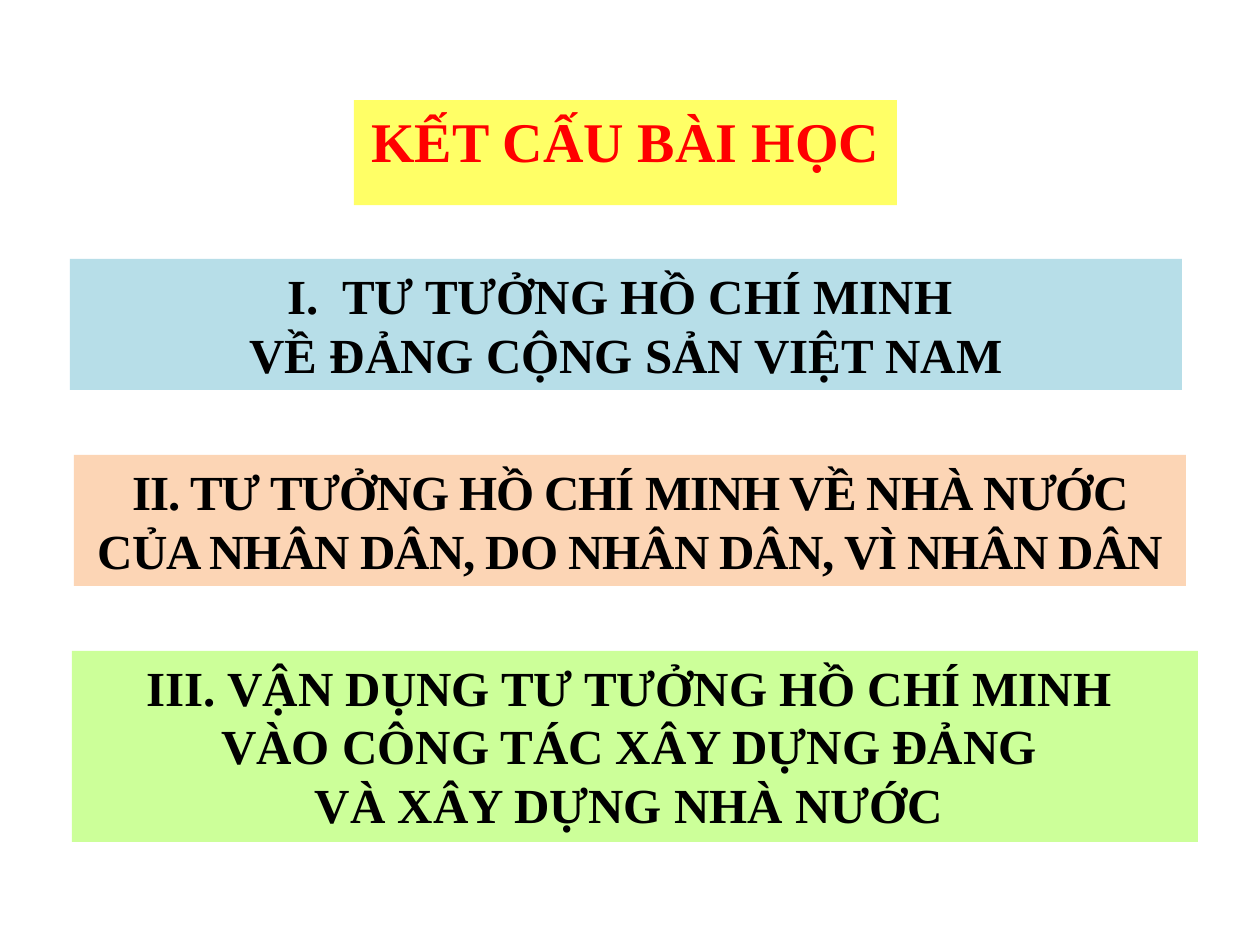
from pptx import Presentation
from pptx.dml.color import RGBColor
from pptx.enum.shapes import MSO_SHAPE
from pptx.enum.text import MSO_ANCHOR, MSO_AUTO_SIZE, PP_ALIGN
from pptx.util import Emu, Pt

PX = 914400 // 126
FONT = "Times New Roman"

# left, top, width, height, fill, letter spacing (1/100 pt), lines
SECTIONS = [
    (70, 259, 1112, 131, "B7DEE8", 0,
     ["I.  TƯ TƯỞNG HỒ CHÍ MINH ", "VỀ ĐẢNG CỘNG SẢN VIỆT NAM"]),
    (74, 455, 1112, 131, "FCD5B5", -60,
     ["II. TƯ TƯỞNG HỒ CHÍ MINH VỀ NHÀ NƯỚC "
      "CỦA NHÂN DÂN, DO NHÂN DÂN, VÌ NHÂN DÂN"]),
    (72, 651, 1126, 191, "CCFF99", 0,
     ["III. VẬN DỤNG TƯ TƯỞNG HỒ CHÍ MINH ",
      "VÀO CÔNG TÁC XÂY DỰNG ĐẢNG ",
      "VÀ XÂY DỰNG NHÀ NƯỚC "]),
]


def px(*lengths):
    return [Emu(length * PX) for length in lengths]


def rgb(code):
    return RGBColor.from_string(code)


def fill_box(box, fill, lines, size, color, spacing=0):
    """Give a box its fill and its bold centred lines of text."""
    box.fill.solid()
    box.fill.fore_color.rgb = rgb(fill)
    box.line.fill.background()
    frame = box.text_frame
    frame.text = "\n".join(lines)
    frame.word_wrap = True
    frame.auto_size = MSO_AUTO_SIZE.SHAPE_TO_FIT_TEXT
    frame.vertical_anchor = MSO_ANCHOR.TOP
    for paragraph in frame.paragraphs:
        paragraph.alignment = PP_ALIGN.CENTER
        font = paragraph.font
        font.name, font.size, font.bold = FONT, Pt(size), True
        font.color.rgb = rgb(color)
        if spacing:
            for run in paragraph.runs:
                run._r.get_or_add_rPr().set("spc", str(spacing))


def add_title(slide):
    title = slide.shapes.title
    title.left, title.top, title.width, title.height = px(354, 100, 543, 81)
    fill_box(title, "FFFF66", ["KẾT CẤU BÀI HỌC"], 32, "FF0000")


def add_section(slide, left, top, width, height, fill, spacing, lines):
    section = slide.shapes.add_shape(
        MSO_SHAPE.RECTANGLE, *px(left, top, width, height))
    section.shadow.inherit = False
    fill_box(section, fill, lines, 28, "000000", spacing)


def main():
    deck = Presentation()
    deck.slide_width, deck.slide_height = px(1260, 945)
    slide = deck.slides.add_slide(deck.slide_layouts[5])
    add_title(slide)
    for section in SECTIONS:
        add_section(slide, *section)
    deck.save("out.pptx")


if __name__ == "__main__":
    main()
